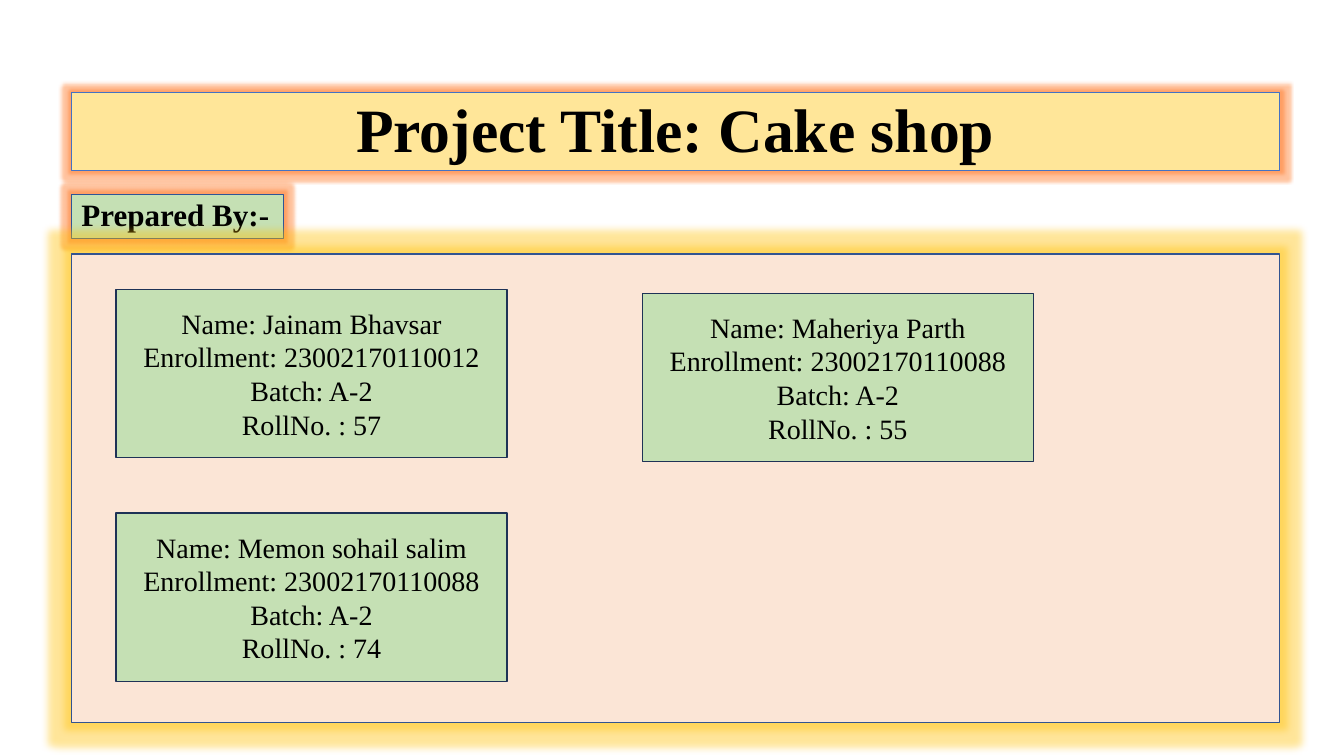
from dataclasses import dataclass

from lxml.etree import SubElement
from pptx import Presentation
from pptx.dml.color import RGBColor
from pptx.enum.shapes import MSO_SHAPE
from pptx.enum.text import MSO_ANCHOR, PP_ALIGN
from pptx.oxml.ns import qn
from pptx.util import Inches, Pt


@dataclass(frozen=True)
class Theme:
    font: str = "Times New Roman"
    text: str = "000000"
    title_fill: str = "FFE699"
    green_fill: str = "C5E0B4"
    panel_fill: str = "FBE5D6"
    heading_line: str = "4472C4"
    label_line: str = "2F5597"
    panel_line: str = "325491"
    card_line: str = "1E3256"
    orange_glow: str = "FF6B0F"
    gold_glow: str = "FFC000"
    title_size: float = 44
    label_size: float = 22.2
    card_size: float = 20


THEME = Theme()
LEFT, FULL_WIDTH = 0.71, 11.98
CARD_WIDTH, CARD_HEIGHT = 3.88, 1.67

# Left, top, name, enrollment, roll number
STUDENTS = [
    (6.37, 2.91, "Maheriya Parth", "23002170110088", 55),
    (1.15, 5.09, "Memon sohail salim", "23002170110088", 74),
    (1.15, 2.87, "Jainam Bhavsar", "23002170110012", 57),
]


def add_box(slide, left, top, width, height, fill, line, line_width=1):
    shape = slide.shapes.add_shape(
        MSO_SHAPE.RECTANGLE, Inches(left), Inches(top), Inches(width), Inches(height)
    )
    shape.shadow.inherit = False
    shape.fill.solid()
    shape.fill.fore_color.rgb = RGBColor.from_string(fill)
    shape.line.color.rgb = RGBColor.from_string(line)
    shape.line.width = Pt(line_width)
    return shape


def add_glow(shape, color, radius):
    effects = shape.element.spPr.find(qn("a:effectLst"))
    glow = SubElement(effects, qn("a:glow"), rad=str(Pt(radius)))
    tint = SubElement(glow, qn("a:srgbClr"), val=color)
    SubElement(tint, qn("a:alpha"), val="40000")


def write_text(shape, lines, size, bold=False, align=PP_ALIGN.CENTER,
               anchor=MSO_ANCHOR.MIDDLE, spacing=1.0):
    frame = shape.text_frame
    frame.word_wrap = True
    frame.vertical_anchor = anchor
    frame.text = "\n".join(lines)
    for paragraph in frame.paragraphs:
        paragraph.alignment = align
        paragraph.line_spacing = spacing
        font = paragraph.runs[0].font
        font.name = THEME.font
        font.size = Pt(size)
        font.bold = bold
        font.color.rgb = RGBColor.from_string(THEME.text)


def add_student_card(slide, left, top, name, enrollment, roll_number):
    card = add_box(slide, left, top, CARD_WIDTH, CARD_HEIGHT,
                   THEME.green_fill, THEME.card_line)
    lines = [f"Name: {name}", f"Enrollment: {enrollment}",
             "Batch: A-2", f"RollNo. : {roll_number}"]
    write_text(card, lines, THEME.card_size)


def main():
    presentation = Presentation()
    presentation.slide_width = Inches(13.33)
    presentation.slide_height = Inches(7.5)
    slide = presentation.slides.add_slide(presentation.slide_layouts[6])

    # Title banner
    title = add_box(slide, LEFT, 0.92, FULL_WIDTH, 0.77,
                    THEME.title_fill, THEME.heading_line, 0.75)
    add_glow(title, THEME.orange_glow, 5)
    write_text(title, ["Project Title: Cake shop"], THEME.title_size, bold=True,
               anchor=MSO_ANCHOR.BOTTOM, spacing=0.9)

    # Label above the panel
    label = add_box(slide, LEFT, 1.93, 2.1, 0.44,
                    THEME.green_fill, THEME.label_line, 0.75)
    add_glow(label, THEME.orange_glow, 5)
    write_text(label, ["Prepared By:-"], THEME.label_size, bold=True,
               align=PP_ALIGN.LEFT, anchor=MSO_ANCHOR.TOP, spacing=0.9)

    # Panel with the student cards
    panel = add_box(slide, LEFT, 2.52, FULL_WIDTH, 4.65,
                    THEME.panel_fill, THEME.panel_line)
    add_glow(panel, THEME.gold_glow, 11)
    for student in STUDENTS:
        add_student_card(slide, *student)

    presentation.save("out.pptx")


if __name__ == "__main__":
    main()
